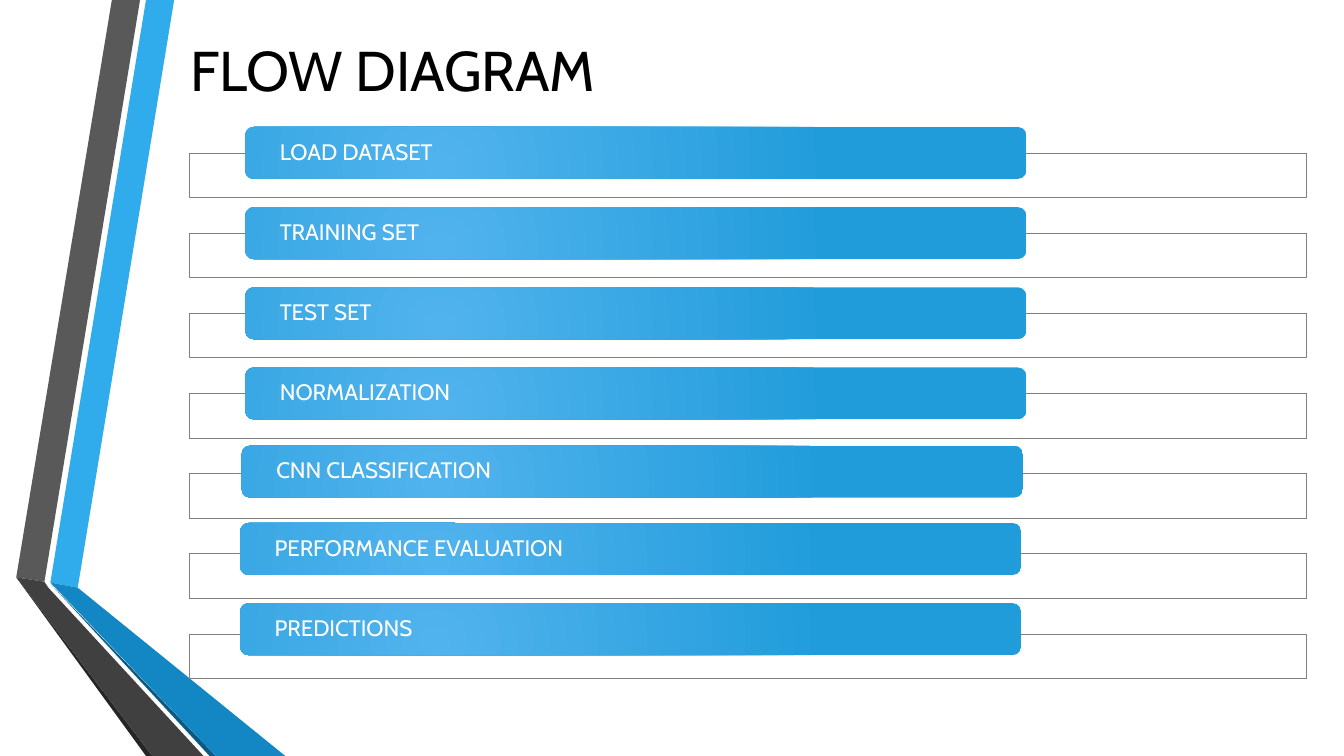
"""Build a flow diagram slide with seven labelled steps."""
import pptx
import pptx.dml.color
import pptx.enum.shapes
import pptx.enum.text
import pptx.oxml
import pptx.oxml.ns
import pptx.util

Cm = pptx.util.Cm
Pt = pptx.util.Pt
SHAPES = pptx.enum.shapes.MSO_SHAPE
ALIGN = pptx.enum.text.PP_ALIGN

FONT = "Cabin"
COLORS = {
    "sky": "30ACEC", "grey": "595959", "black": "262626", "navy": "0C5A82",
    "blue": "1287C3", "charcoal": "404040", "title": "000000", "white": "FFFFFF",
    "frame": "808080", "bar_light": "51B3ED", "bar_dark": "219CDB",
}
TITLE = "FLOW DIAGRAM"

RIBBONS = [
    ("sky", [(1.27, 14.68), (1.96, 14.81), (4.39, 0), (3.68, 0)]),
    ("grey", [(3.53, 0), (2.82, 0), (0.41, 14.55), (1.12, 14.66)]),
    ("black", [(0.41, 14.55), (3.68, 19.05), (3.84, 19.05)]),
    ("navy", [(1.27, 14.71), (5.28, 19.05), (5.44, 19.05)]),
    ("blue", [(1.27, 14.68), (5.44, 19.05), (7.19, 19.05), (1.96, 14.81)]),
    ("charcoal", [(5.13, 19.05), (1.22, 14.81), (1.12, 14.66), (0.41, 14.55), (3.84, 19.05)]),
]

STEPS = [
    ("LOAD DATASET", 6.18, 0.66),
    ("TRAINING SET", 6.18, 0.66),
    ("TEST SET", 6.18, 0.66),
    ("NORMALIZATION", 6.18, 0.66),
    ("CNN CLASSIFICATION", 6.09, 0.71),
    ("PERFORMANCE EVALUATION", 6.05, 0.78),
    ("PREDICTIONS", 6.05, 0.78),
]
FRAME_LEFT, FRAME_TOP, FRAME_WIDTH, FRAME_HEIGHT = 4.78, 3.86, 28.14, 1.12
STEP_PITCH = 2.02
BAR_WIDTH, BAR_HEIGHT, BAR_INSET = 19.69, 1.31, 0.81


def color(name):
    return pptx.dml.color.RGBColor.from_string(COLORS[name])


def set_text(shape, text, size, color_name, alignment, inset):
    frame = shape.text_frame
    frame.text = text
    frame.word_wrap = True
    frame.vertical_anchor = pptx.enum.text.MSO_ANCHOR.MIDDLE
    frame.margin_left = frame.margin_right = Cm(inset)
    frame.margin_top = frame.margin_bottom = 0
    paragraph = frame.paragraphs[0]
    paragraph.alignment = alignment
    paragraph.line_spacing = 0.9
    font = paragraph.runs[0].font
    font.name, font.size = FONT, Pt(size)
    font.color.rgb = color(color_name)


def add_ribbon(slide, color_name, points):
    corners = [(Cm(x), Cm(y)) for x, y in points]
    builder = slide.shapes.build_freeform(*corners[0])
    builder.add_line_segments(corners[1:], close=True)
    ribbon = builder.convert_to_shape()
    ribbon.shadow.inherit = False
    ribbon.fill.solid()
    ribbon.fill.fore_color.rgb = color(color_name)
    ribbon.line.fill.background()


def add_box(slide, kind, left, top, width, height):
    box = slide.shapes.add_shape(kind, Cm(left), Cm(top), Cm(width), Cm(height))
    box.shadow.inherit = False
    return box


def fill_radial(shape):
    shape.fill.gradient()
    for stop, name in zip(shape.fill.gradient_stops, ("bar_light", "bar_dark")):
        stop.color.rgb = color(name)
    gradient = shape._element.spPr.find(pptx.oxml.ns.qn("a:gradFill"))
    linear = gradient.find(pptx.oxml.ns.qn("a:lin"))
    radial = pptx.oxml.parse_xml(
        f'<a:path {pptx.oxml.ns.nsdecls("a")} path="circle">'
        '<a:fillToRect l="50000" t="100000" r="100000" b="50000"/></a:path>')
    gradient.replace(linear, radial)


def add_step(slide, index, label, bar_left, bar_rise):
    top = FRAME_TOP + index * STEP_PITCH
    frame = add_box(slide, SHAPES.RECTANGLE, FRAME_LEFT, top, FRAME_WIDTH, FRAME_HEIGHT)
    frame.fill.solid()
    frame.fill.fore_color.rgb = color("white")
    frame.line.color.rgb = color("frame")
    frame.line.width = Pt(0.75)
    bar = add_box(slide, SHAPES.ROUNDED_RECTANGLE, bar_left, top - bar_rise, BAR_WIDTH, BAR_HEIGHT)
    fill_radial(bar)
    bar.line.fill.background()
    set_text(bar, label, 16, "white", ALIGN.LEFT, BAR_INSET)


presentation = pptx.Presentation()
presentation.slide_width, presentation.slide_height = Cm(33.87), Cm(19.05)
slide = presentation.slides.add_slide(presentation.slide_layouts[6])

for color_name, points in RIBBONS:
    add_ribbon(slide, color_name, points)

title = slide.shapes.add_textbox(0, Cm(0.36), Cm(19.8), Cm(2.74))
set_text(title, TITLE, 40, "title", ALIGN.CENTER, 0.25)
title.text_frame.paragraphs[0].line_spacing = 1.0

for index, (label, bar_left, bar_rise) in enumerate(STEPS):
    add_step(slide, index, label, bar_left, bar_rise)

presentation.save("out.pptx")
